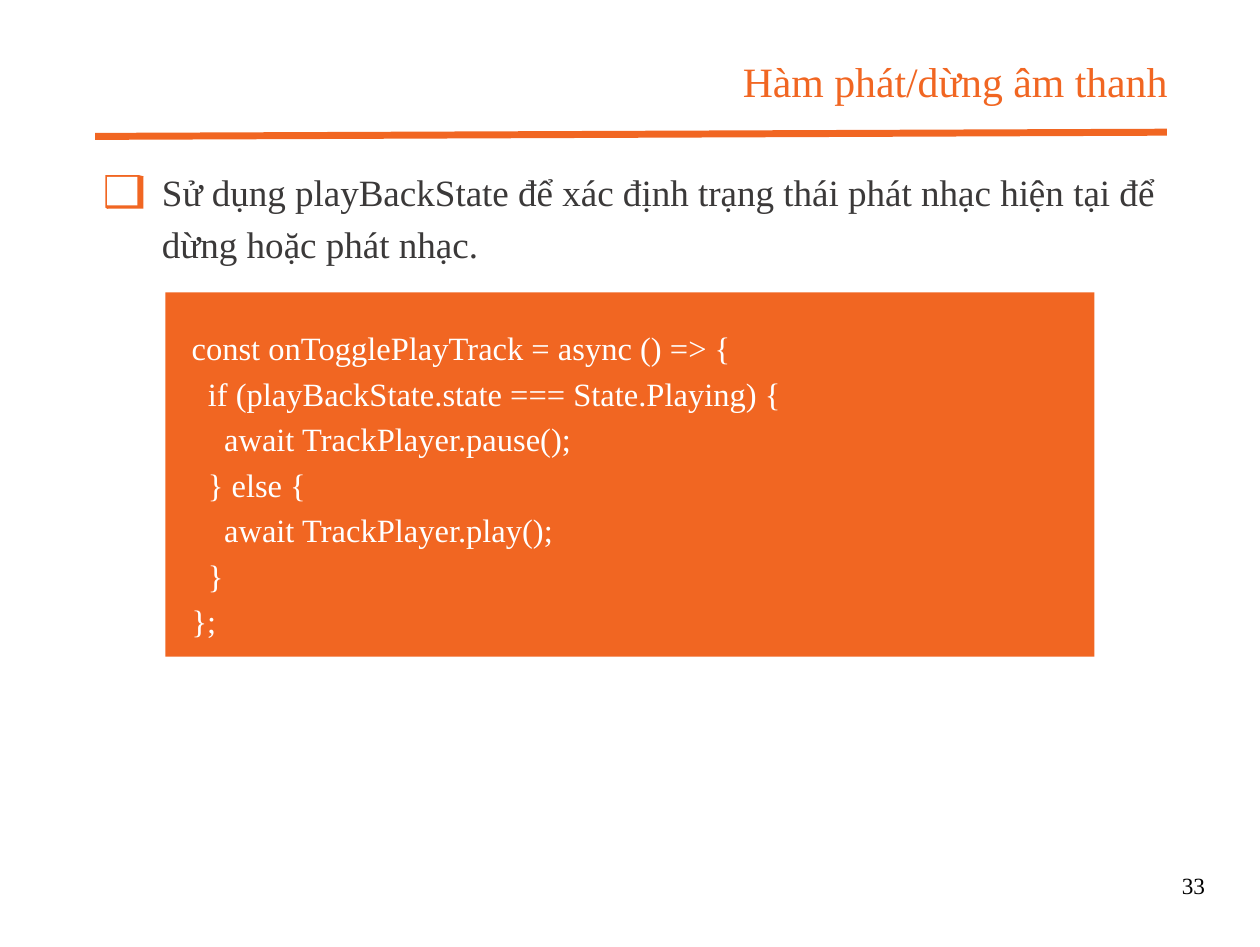
from dataclasses import dataclass

from lxml import etree
from pptx import Presentation
from pptx import util as u
from pptx.dml.color import RGBColor
from pptx.enum import shapes, text
from pptx.oxml.ns import qn

COLORS = {
    "accent": "F16622",
    "paper": "FFFFFF",
    "body": "3B3939",
    "number": "000000",
}
FONT = "Times New Roman"
LINE_RATIO = 1.4


@dataclass
class Box:
    left: float
    top: float
    width: float
    height: float

    def lengths(self) -> list:
        return [u.Pt(v) for v in (self.left, self.top, self.width, self.height)]


@dataclass
class Label:
    box: Box
    wording: str
    size: int
    color: str
    align: text.PP_ALIGN = text.PP_ALIGN.LEFT


@dataclass
class Panel:
    box: Box
    color: str


@dataclass
class Corner:
    points: list
    color: str


CHECKBOX_LAYERS = [
    Panel(Box(46.2, 76, 15.6, 14), "accent"),
    Panel(Box(45.4, 75.5, 14.6, 14), "accent"),
    Panel(Box(46.2, 76.3, 13, 12.3), "paper"),
]
CHECKBOX_CORNERS = [
    Corner([(59.8, 75.5), (61.8, 76), (61.2, 77), (59.8, 76.3)], "accent"),
    Corner([(46.4, 88.6), (47.2, 89.4), (46.2, 90), (45.4, 89.4)], "accent"),
]
LABELS = [
    Label(Box(69.8, 69.8, 433.6, 44.8),
          "Sử dụng playBackState để xác định trạng thái phát nhạc hiện tại "
          "để dừng hoặc phát nhạc.", 16, "body"),
    Label(Box(229, 20.2, 274.2, 27), "Hàm phát/dừng âm thanh", 18, "accent",
          text.PP_ALIGN.RIGHT),
    Label(Box(502.6, 373.7, 16.6, 14), "33", 10, "number",
          text.PP_ALIGN.RIGHT),
]
CODE_PANEL = Panel(Box(71.3, 126, 400.3, 157), "accent")
CODE_LINES = [
    "  const onTogglePlayTrack = async () => {",
    "    if (playBackState.state === State.Playing) {",
    "      await TrackPlayer.pause();",
    "    } else {",
    "      await TrackPlayer.play();",
    "    }",
    "  };",
]


def rgb(color: str) -> RGBColor:
    return RGBColor.from_string(COLORS[color])


def set_all(target, values: dict) -> None:
    for name, value in values.items():
        setattr(target, name, value)


def paint(outline, color: str):
    outline.shadow.inherit = False
    outline.fill.solid()
    outline.fill.fore_color.rgb = rgb(color)
    outline.line.fill.background()
    return outline


def draw_panel(slide, panel: Panel):
    area = slide.shapes.add_shape(
        shapes.MSO_SHAPE.RECTANGLE, *panel.box.lengths())
    return paint(area, panel.color)


def draw_corner(slide, corner: Corner) -> None:
    start, *rest = [(u.Pt(x), u.Pt(y)) for x, y in corner.points]
    builder = slide.shapes.build_freeform(*start)
    builder.add_line_segments(rest, close=True)
    paint(builder.convert_to_shape(), corner.color)


def write(frame, lines: list, size: int, color: str,
          align: text.PP_ALIGN, left: float = 0, top: float = 0) -> None:
    set_all(frame, {
        "word_wrap": True,
        "vertical_anchor": text.MSO_ANCHOR.TOP,
        "margin_left": u.Pt(left),
        "margin_right": u.Pt(left),
        "margin_top": u.Pt(top),
        "margin_bottom": u.Pt(0),
    })
    for index, wording in enumerate(lines):
        line = frame.add_paragraph() if index else frame.paragraphs[0]
        set_all(line, {
            "alignment": align,
            "line_spacing": u.Pt(size * LINE_RATIO),
        })
        run = line.add_run()
        run.text = wording
        set_all(run.font, {"name": FONT, "size": u.Pt(size)})
        run.font.color.rgb = rgb(color)


def draw_label(slide, label: Label) -> None:
    area = slide.shapes.add_textbox(*label.box.lengths())
    write(area.text_frame, [label.wording], label.size, label.color, label.align)


def draw_title_rule(slide) -> None:
    rule = slide.shapes.add_connector(
        shapes.MSO_CONNECTOR.STRAIGHT,
        u.Pt(41), u.Pt(58.8), u.Pt(502.8), u.Pt(57))
    rule.line.color.rgb = rgb("accent")
    rule.line.width = u.Pt(3)
    etree.SubElement(rule._element.spPr, qn("a:effectLst"))


def main() -> None:
    deck = Presentation()
    set_all(deck, {"slide_width": u.Pt(542.9), "slide_height": u.Pt(408.2)})
    slide = deck.slides.add_slide(deck.slide_layouts[6])
    draw_title_rule(slide)
    for layer in CHECKBOX_LAYERS:
        draw_panel(slide, layer)
    for corner in CHECKBOX_CORNERS:
        draw_corner(slide, corner)
    for label in LABELS:
        draw_label(slide, label)
    code = draw_panel(slide, CODE_PANEL)
    write(code.text_frame, CODE_LINES, 14, "paper", text.PP_ALIGN.LEFT,
          left=4.3, top=12.8)
    deck.save("out.pptx")


if __name__ == "__main__":
    main()
